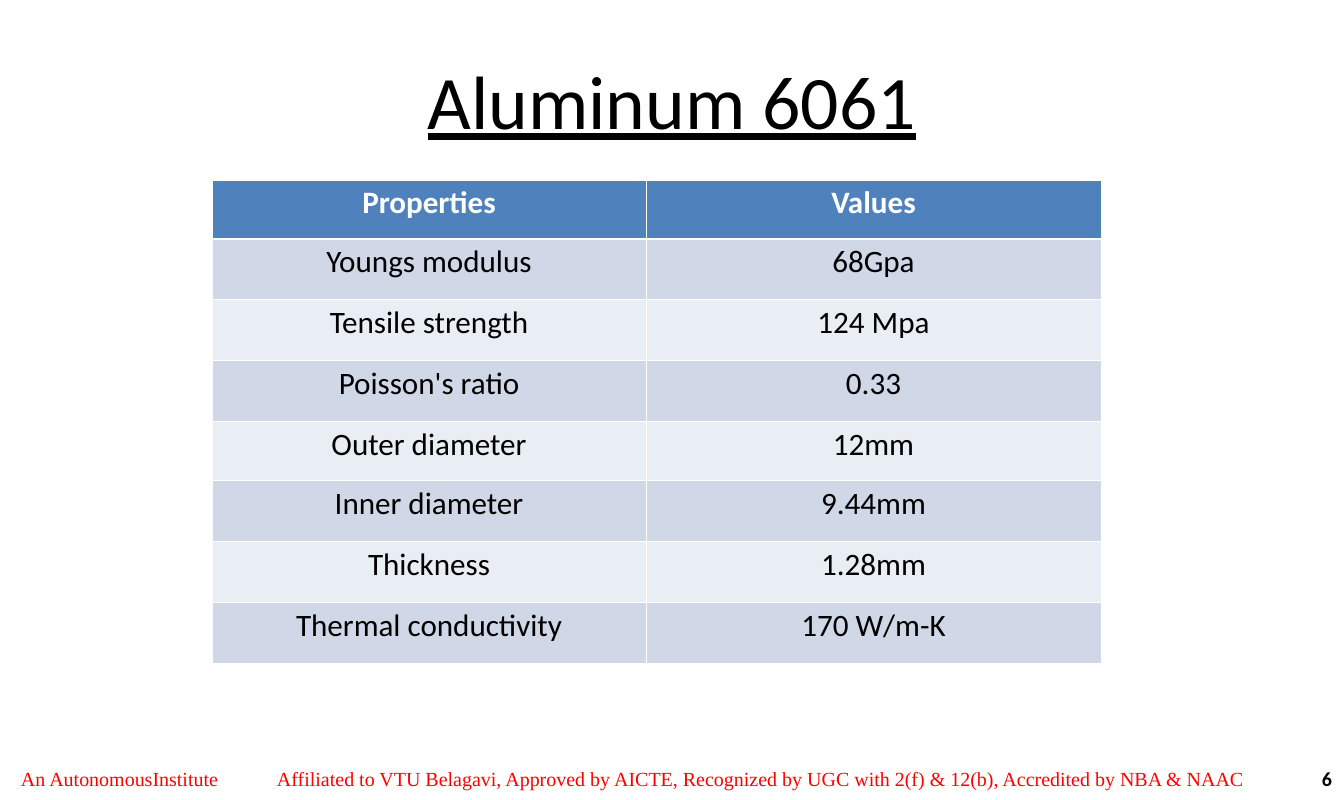
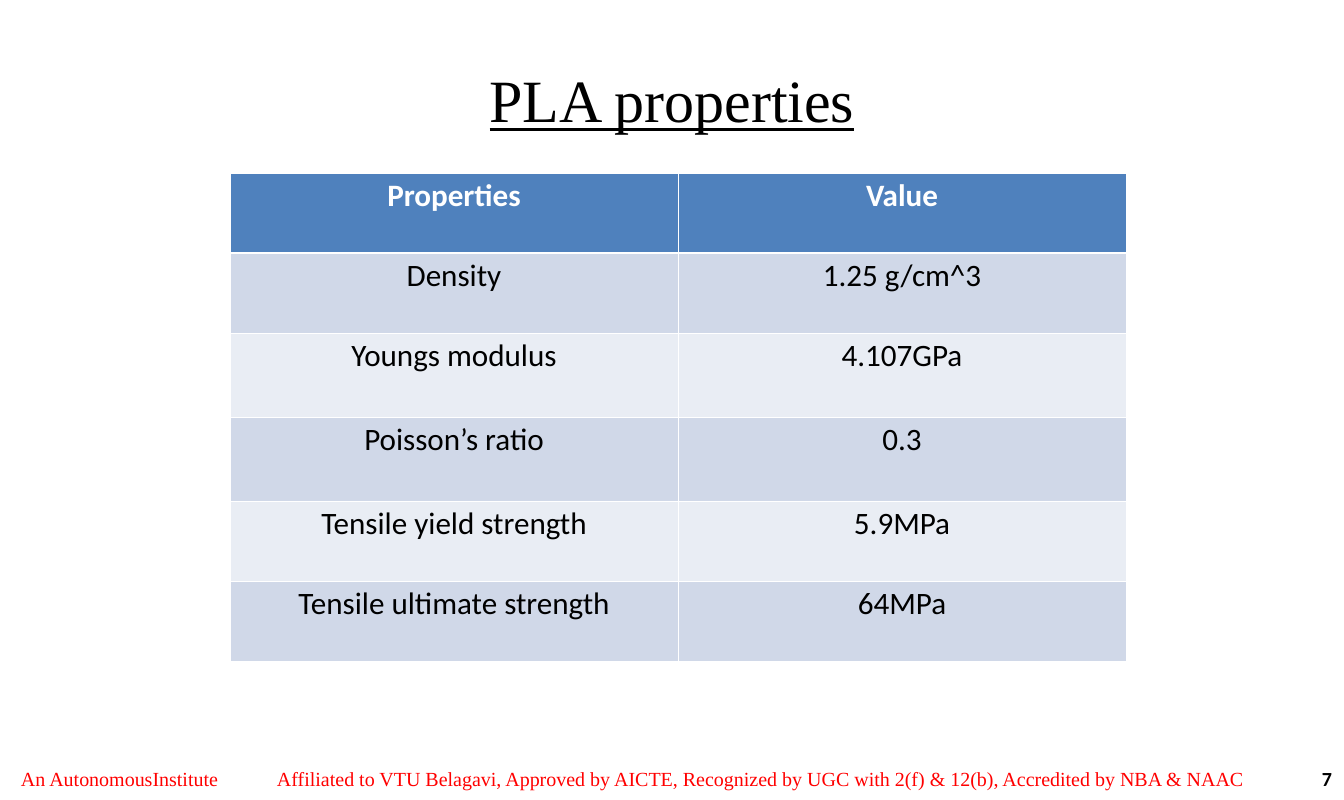
from dataclasses import dataclass

from lxml.etree import SubElement
from pptx import Presentation
from pptx.dml.color import RGBColor
from pptx.enum.text import MSO_ANCHOR, MSO_AUTO_SIZE, PP_ALIGN
from pptx.oxml.ns import qn
from pptx.util import Pt

PX = 11430
TITLE_ONLY = 5


@dataclass(frozen=True)
class Theme:
    """Colours, fonts and type sizes shared by the slides."""
    ink: str = "000000"
    paper: str = "FFFFFF"
    header: str = "4F81BD"
    bands: tuple = ("D0D8E8", "E9EDF4")
    accent: str = "FF0000"
    sans: str = "Calibri"
    serif: str = "Times New Roman"
    table_size: int = 28
    footer_size: int = 18
    rule: int = 1
    header_rule: int = 3


class Deck:
    """Holds the theme and the current slide and draws each kind of element."""

    def __init__(self, theme):
        self.theme = theme
        self.prs = Presentation()
        self.prs.slide_width, self.prs.slide_height = 1344 * PX, 800 * PX
        self.s = None

    def slide(self, title, font, size, number):
        """Start a slide with its title, footer and number."""
        t = self.theme
        self.s = self.prs.slides.add_slide(self.prs.slide_layouts[TITLE_ONLY])
        sp = self.s.shapes.title
        for name, value in dict(left=67, top=32, width=1210, height=134).items():
            setattr(sp, name, value * PX)
        self.add_run(sp.text_frame, title, PP_ALIGN.CENTER, t.ink,
                     name=font, size=Pt(size), underline=True)
        self.frame(sp.text_frame)
        self.text((1270, 758, 74, 42), str(number), PP_ALIGN.RIGHT, t.ink,
                  name=t.sans, size=Pt(t.footer_size), bold=True)
        self.footer()

    def footer(self):
        """Add the institute line, its two parts set apart by a tab stop."""
        t = self.theme
        tf = self.text((0, 758, 1266, 42),
                       "An AutonomousInstitute\tAffiliated to VTU Belagavi, Approved by AICTE, "
                       "Recognized by UGC with 2(f) & 12(b), Accredited by NBA & NAAC",
                       PP_ALIGN.LEFT, t.accent, name=t.serif, size=Pt(t.footer_size))
        tf.margin_left = 21 * PX
        tabs = SubElement(tf.paragraphs[0]._p.get_or_add_pPr(), qn("a:tabLst"))
        SubElement(tabs, qn("a:tab"), pos=str(256 * PX), algn="l")

    def text(self, box, text, align, color, **font):
        """Add a text box and return its text frame."""
        tf = self.s.shapes.add_textbox(*(v * PX for v in box)).text_frame
        self.add_run(tf, text, align, color, **font)
        self.frame(tf)
        return tf

    def frame(self, tf):
        """Give a text frame the common wrap, anchor and insets."""
        style = dict(word_wrap=True, auto_size=MSO_AUTO_SIZE.NONE,
                     vertical_anchor=MSO_ANCHOR.MIDDLE,
                     margin_left=12 * PX, margin_right=12 * PX,
                     margin_top=6 * PX, margin_bottom=6 * PX)
        for name, value in style.items():
            setattr(tf, name, value)

    def add_run(self, tf, text, align, color, **font):
        """Fill a text frame with one formatted run."""
        p = tf.paragraphs[0]
        p.alignment = align
        r = p.add_run()
        r.text = text
        r.font.color.rgb = RGBColor.from_string(color)
        for name, value in font.items():
            setattr(r.font, name, value)

    def table(self, left, top, widths, heights, rows):
        """Add a banded table with a header row."""
        t = self.theme
        box = (left, top, sum(widths), sum(heights))
        table = self.s.shapes.add_table(len(rows), len(widths), *(v * PX for v in box)).table
        for col, width in zip(table.columns, widths):
            col.width = width * PX
        for i, (row, height) in enumerate(zip(rows, heights)):
            table.rows[i].height = height * PX
            head = i == 0
            for j, text in enumerate(row):
                cell = table.cell(i, j)
                cell.fill.solid()
                fill = t.header if head else t.bands[(i - 1) % 2]
                cell.fill.fore_color.rgb = RGBColor.from_string(fill)
                self.add_run(cell.text_frame, text, PP_ALIGN.CENTER, t.paper if head else t.ink,
                             name=t.sans, size=Pt(t.table_size), bold=head)
                self.borders(cell, top=t.header_rule if i == 1 else t.rule,
                             bottom=t.header_rule if head else t.rule)

    def borders(self, cell, top, bottom):
        """Draw the four edges of a cell."""
        tc_pr = cell._tc.get_or_add_tcPr()
        edges = dict(lnL=self.theme.rule, lnR=self.theme.rule, lnT=top, lnB=bottom)
        for i, (edge, width) in enumerate(edges.items()):
            ln = SubElement(tc_pr, qn(f"a:{edge}"), w=str(Pt(width)))
            fill = SubElement(ln, qn("a:solidFill"))
            SubElement(fill, qn("a:srgbClr"), val=self.theme.paper)
            tc_pr.insert(i, ln)


def main():
    """Build the two material slides."""
    theme = Theme()
    deck = Deck(theme)

    deck.slide("Aluminum 6061", theme.sans, 68, 6)
    deck.table(212, 180, (434, 455), [59, 61, 61, 61] * 2, [
        ("Properties", "Values"),
        ("Youngs modulus", "68Gpa"),
        ("Tensile strength", "124 Mpa"),
        ("Poisson's ratio", "0.33"),
        ("Outer diameter", "12mm"),
        ("Inner diameter", "9.44mm"),
        ("Thickness", "1.28mm"),
        ("Thermal conductivity", "170 W/m-K"),
    ])

    deck.slide("PLA properties", theme.serif, 54, 7)
    deck.table(230, 173, (448, 448), [80, 80, 84, 84, 80, 80], [
        ("Properties", "Value"),
        ("Density", "1.25 g/cm^3"),
        ("Youngs modulus", "4.107GPa"),
        ("Poisson’s ratio", "0.3"),
        ("Tensile yield strength", "5.9MPa"),
        ("Tensile ultimate strength", "64MPa"),
    ])

    deck.prs.save("out.pptx")


if __name__ == "__main__":
    main()
